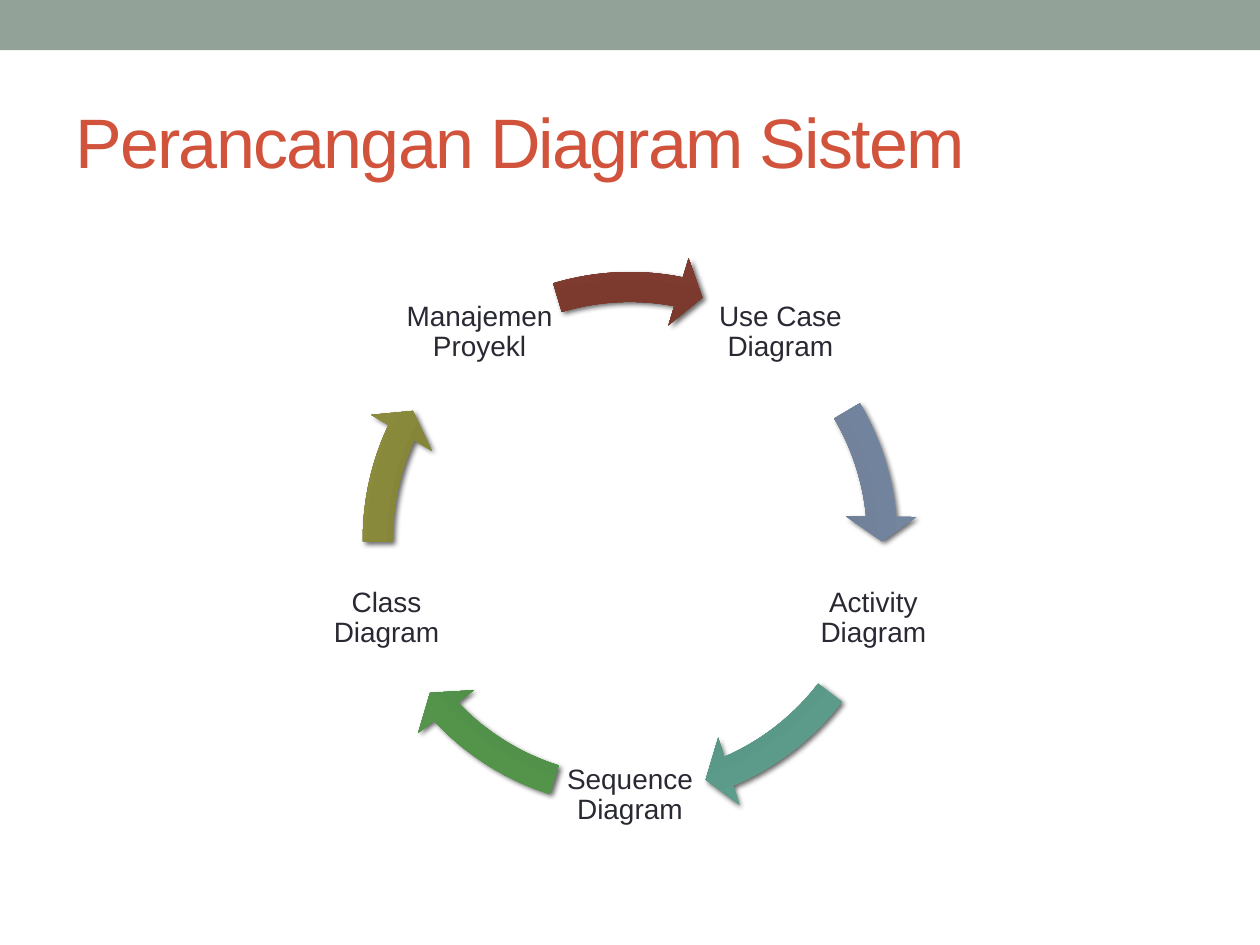
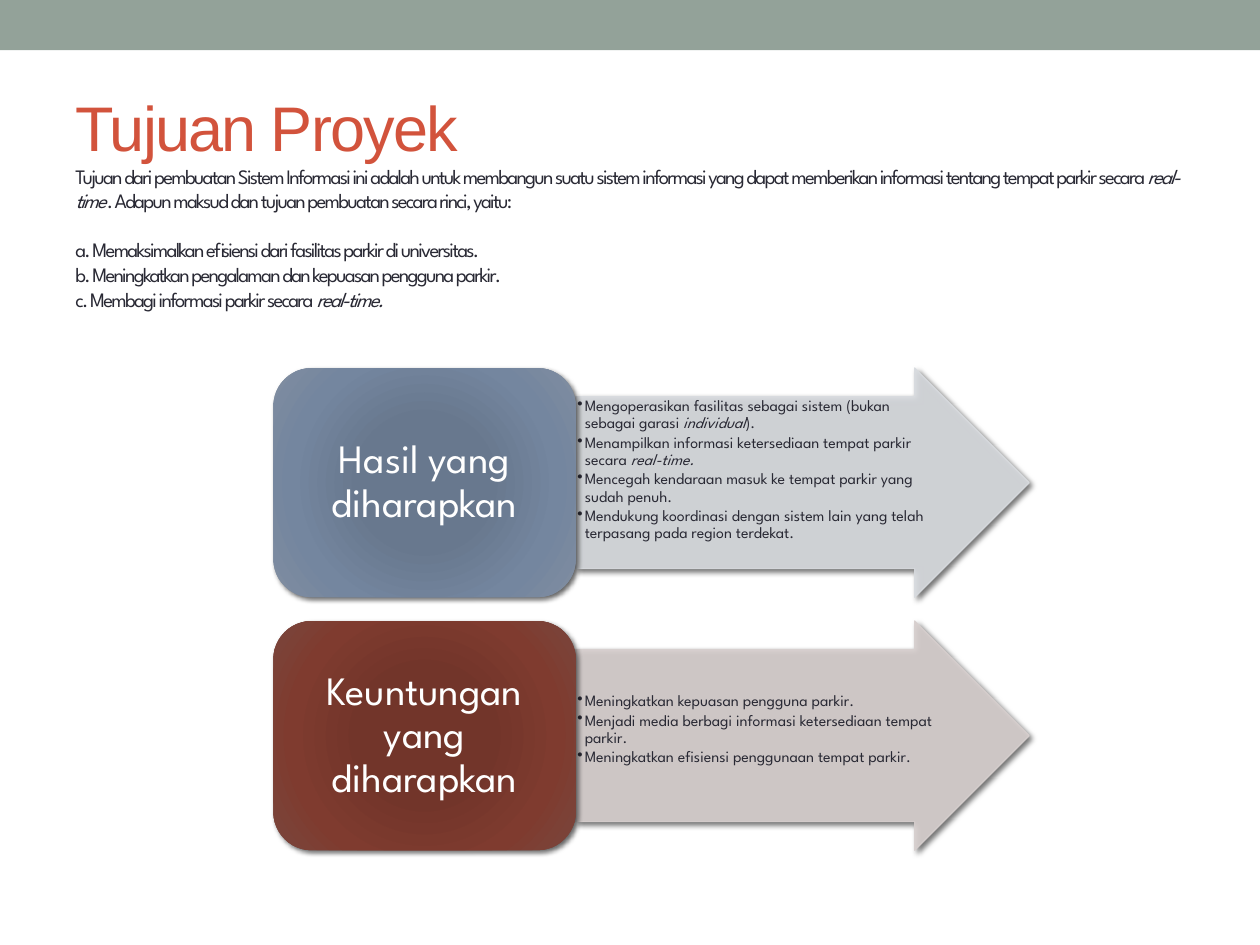
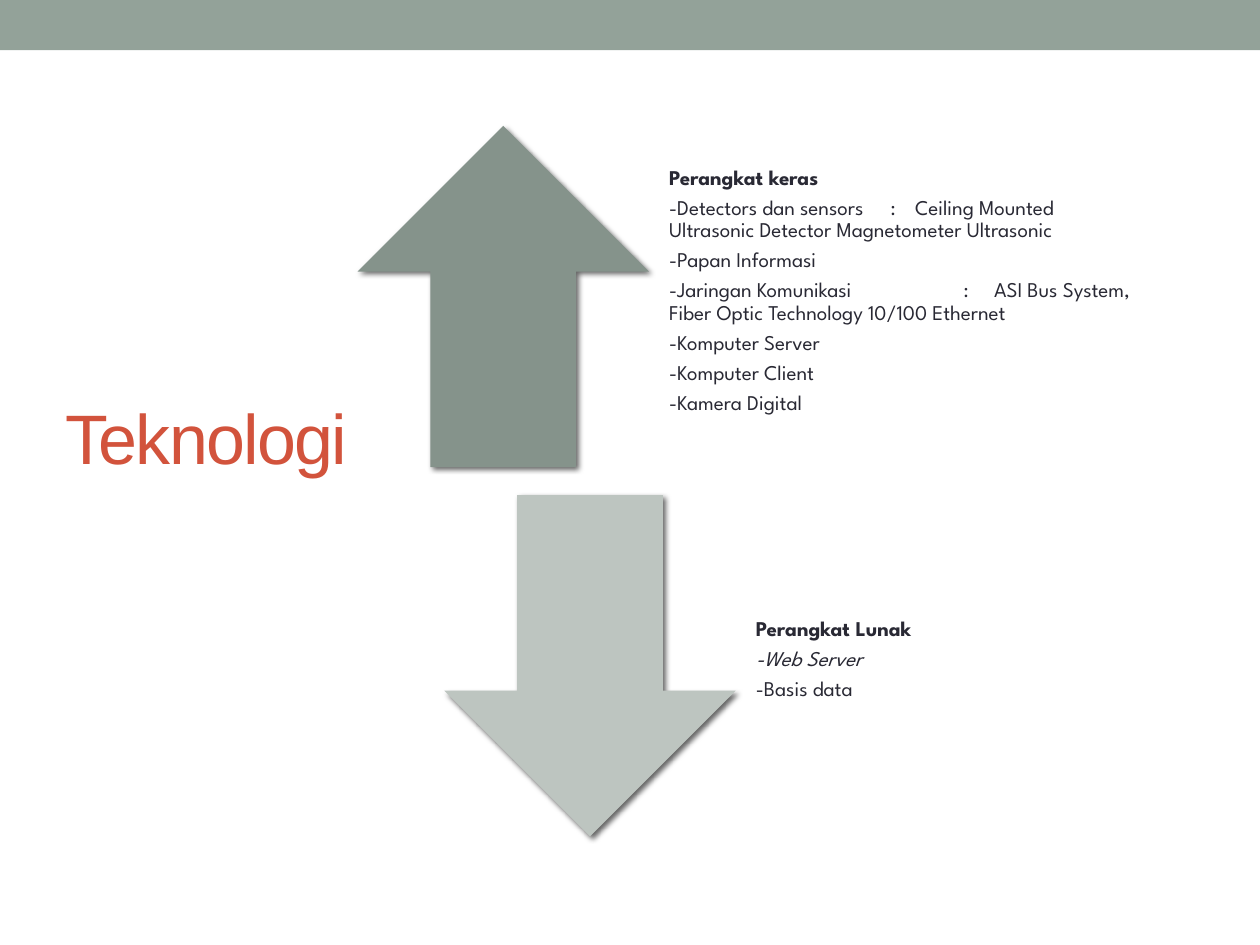
import math
from collections import namedtuple

from pptx import Presentation, util as u
from pptx.dml.color import RGBColor
from pptx.enum import shapes, text
from pptx.oxml import parse_xml
from pptx.oxml.ns import nsdecls, qn

Style = namedtuple("Style", "font size color align line after tracking",
                   defaults=(text.PP_ALIGN.LEFT, 1.0, 0, 0))

BAND, ACCENT, INK, WHITE = "93A299", "D2533C", "292934", "FFFFFF"
BODY_FONT = "League Spartan"
CENTER = text.PP_ALIGN.CENTER
TITLE = Style("Arial", 40, ACCENT, tracking=-100)
SHORT_TITLE = TITLE._replace(size=36)
INTRO = Style(BODY_FONT, 11.7, INK, tracking=-100)
CYCLE_LABEL = Style("Arial", 16, INK, CENTER, 0.9)
CARD = Style(BODY_FONT, 23, WHITE, CENTER, 0.9)
BULLET = Style(BODY_FONT, 9, INK, line=0.9, after=1.35)
LISTING = Style(BODY_FONT, 12, INK, line=0.9, after=4.2)

SLATE = ("677790", "68788E", "74869F", "808DA0")
TEAL = ("528E7E", "548C7D", "5D9D8C", "6B9A8E")
GREEN = ("4A8841", "4C8643", "55954B", "61915A")
OLIVE = ("7E7F33", "7C7D36", "8A8B3C", "85864B")
BRICK = ("743327", "72352A", "7F3B2F", "79463D")
GRADIENT_STOPS = (0, 34, 70, 100)

STEPS = [
    ("Use Case Diagram", SLATE, 329.42, 354.9),
    ("Activity Diagram", TEAL, 37.54, 66.93),
    ("Sequence Diagram", GREEN, 107.48, 136.86),
    ("Class Diagram", OLIVE, 179.5, 204.98),
    ("Manajemen Proyekl", BRICK, 253.3, 281.11),
]
GOALS = [
    "Tujuan dari pembuatan Sistem Informasi ini adalah untuk membangun suatu sistem "
    "informasi yang dapat memberikan informasi tentang tempat parkir secara *real-time*. "
    "Adapun maksud dan tujuan pembuatan secara rinci, yaitu:",
    "a. Memaksimalkan efisiensi dari fasilitas parkir di universitas.",
    "b. Meningkatkan pengalaman dan kepuasan pengguna parkir.",
    "c. Membagi informasi parkir secara *real-time.*",
]
OUTCOMES = [
    ("Hasil yang diharapkan", SLATE, "D8DBDF", 0.03, [
        "Mengoperasikan fasilitas sebagai sistem (bukan sebagai garasi *individual*).",
        "Menampilkan informasi ketersediaan tempat parkir secara *real-time.*",
        "Mencegah kendaraan masuk ke tempat parkir yang sudah penuh.",
        "Mendukung koordinasi dengan sistem lain yang telah terpasang pada region terdekat.",
    ]),
    ("Keuntungan yang diharapkan", BRICK, "D7CFCE", 0.87, [
        "Meningkatkan kepuasan pengguna parkir.",
        "Menjadi media berbagi informasi ketersediaan tempat parkir.",
        "Meningkatkan efisiensi penggunaan tempat parkir.",
    ]),
]
TECHNOLOGIES = [
    (shapes.MSO_SHAPE.UP_ARROW, "85938B", [
        "Perangkat keras",
        "-Detectors dan sensors\t:\tCeiling Mounted Ultrasonic Detector Magnetometer Ultrasonic",
        "-Papan Informasi",
        "-Jaringan Komunikasi\t:\tASI Bus System, Fiber Optic Technology 10/100 Ethernet",
        "-Komputer Server",
        "-Komputer Client",
        "-Kamera Digital",
    ], {1: (4.46, 4.96), 3: (5.93, 6.55)}),
    (shapes.MSO_SHAPE.DOWN_ARROW, "BDC5C0", [
        "Perangkat Lunak", "*-Web Server*", "-Basis data",
    ], {}),
]


def rgb(value):
    return RGBColor.from_string(value)


def box(*lengths):
    return [u.Cm(length) for length in lengths]


def xml(markup):
    tag, rest = markup.split(" ", 1)
    return parse_xml(f"{tag} {nsdecls('a')} {rest}")


def add_figure(slide, kind, bounds, color, adjustments=()):
    shape = slide.shapes.add_shape(kind, *box(*bounds))
    for index, value in enumerate(adjustments):
        shape.adjustments[index] = value
    if isinstance(color, str):
        shape.fill.solid()
        shape.fill.fore_color.rgb = rgb(color)
    else:
        fill_radial(shape, color)
    shape.line.fill.background()
    shape.shadow.inherit = False
    return shape


def fill_radial(shape, colors):
    stops = "".join(
        f'<a:gs pos="{position * 1000}"><a:srgbClr val="{color}"/></a:gs>'
        for position, color in zip(GRADIENT_STOPS, colors))
    gradient = xml(
        f'<a:gradFill rotWithShape="1"><a:gsLst>{stops}</a:gsLst><a:path path="circle">'
        '<a:fillToRect l="100000" t="100000" r="100000" b="100000"/></a:path></a:gradFill>')
    shape.element.spPr.find(qn("a:prstGeom")).addnext(gradient)


def cast_shadow(shape):
    shape.element.spPr.find(qn("a:effectLst")).append(xml(
        '<a:outerShdw blurRad="38100" dist="25400" dir="2700000" rotWithShape="0">'
        '<a:srgbClr val="000000"><a:alpha val="60000"/></a:srgbClr></a:outerShdw>'))


def make_translucent(shape, color):
    shape.line.color.rgb = rgb(color)
    shape.line.width = u.Pt(0.75)
    for swatch in shape.element.spPr.iter(qn("a:srgbClr")):
        if swatch.get("val") == color:
            swatch.append(xml('<a:alpha val="90000"/>'))


def write(frame, lines, style):
    paragraphs = []
    for line in lines:
        first = frame.paragraphs[0]
        paragraph = frame.add_paragraph() if first.runs else first
        paragraph.alignment = style.align
        paragraph.line_spacing = style.line
        paragraph.space_after = u.Pt(style.after)
        paragraph.font.name = style.font
        paragraph.font.size = u.Pt(style.size)
        paragraph.font.color.rgb = rgb(style.color)
        for index, piece in enumerate(line.split("*")):
            if piece:
                run = paragraph.add_run()
                run.text = piece
                if index % 2:
                    run.font.italic = True
                if style.tracking:
                    run._r.get_or_add_rPr().set("spc", str(style.tracking))
        paragraphs.append(paragraph)
    return paragraphs


def add_text(slide, bounds, lines, style, anchor=text.MSO_ANCHOR.MIDDLE,
             margins=(0.25, 0.13, 0.25, 0.13)):
    frame = slide.shapes.add_textbox(*box(*bounds)).text_frame
    frame.word_wrap = True
    frame.vertical_anchor = anchor
    (frame.margin_left, frame.margin_top,
     frame.margin_right, frame.margin_bottom) = box(*margins)
    return frame, write(frame, lines, style)


def add_property(paragraph, markup):
    paragraph._p.pPr.find(qn("a:defRPr")).addprevious(xml(markup))


def add_bullet(paragraph):
    indent = u.Cm(0.15)
    paragraph._p.pPr.set("marL", str(indent))
    paragraph._p.pPr.set("indent", str(-indent))
    add_property(paragraph, '<a:buChar char="•"/>')


def add_tab_stops(paragraph, positions):
    stops = "".join(f'<a:tab pos="{u.Cm(position)}" algn="l"/>' for position in positions)
    add_property(paragraph, f'<a:tabLst {""}>{stops}</a:tabLst>')


def add_banded_slide(presentation):
    slide = presentation.slides.add_slide(presentation.slide_layouts[6])
    add_figure(slide, shapes.MSO_SHAPE.RECTANGLE, (0, 0, 25.4, 1.01), BAND)
    return slide


def build_cycle(slide):
    add_text(slide, (1.27, 1.47, 22.86, 2.74), ["Perancangan Diagram Sistem"], TITLE)
    center_x, center_y, radius, ring, label = 12.7, 10.87, 5.16, 11.58, 3.1
    for index, (name, colors, start, end) in enumerate(STEPS):
        angle = math.radians(72 * index - 54)
        left = center_x + radius * math.cos(angle) - label / 2
        top = center_y + radius * math.sin(angle) - label / 2
        add_text(slide, (left, top, label, label), [name], CYCLE_LABEL, margins=[0.05] * 4)
        arrow = add_figure(
            slide, shapes.MSO_SHAPE.CIRCULAR_ARROW,
            (center_x - ring / 2, center_y - ring / 2, ring, ring), colors,
            (0.052, 3.357, end * 0.6, start * 0.6, 0.061))
        cast_shadow(arrow)


def build_outcomes(slide):
    frame, _ = add_text(slide, (1.27, 1.7, 22.86, 4.65), ["Tujuan Proyek"], SHORT_TITLE)
    goals = write(frame, GOALS, INTRO)
    goals[1].space_before = u.Pt(14)
    for index, (heading, colors, tint, top_margin, points) in enumerate(OUTCOMES):
        top = 7.42 + 5.1 * index
        arrow = add_figure(slide, shapes.MSO_SHAPE.RIGHT_ARROW, (11.61, top, 9.14, 4.62),
                           tint, (0.75, 0.5))
        make_translucent(arrow, tint)
        cast_shadow(arrow)
        _, paragraphs = add_text(slide, (11.61, top + 0.58, 7.42, 3.48), points, BULLET,
                                 text.MSO_ANCHOR.TOP, (0.03, top_margin, 0.03, 0.03))
        for paragraph in paragraphs:
            add_bullet(paragraph)
        card = add_figure(slide, shapes.MSO_SHAPE.ROUNDED_RECTANGLE,
                          (5.51, top, 6.1, 4.62), colors)
        cast_shadow(card)
        card.text_frame.word_wrap = True
        card.text_frame.vertical_anchor = text.MSO_ANCHOR.MIDDLE
        write(card.text_frame, [heading], CARD)


def build_technologies(slide):
    add_text(slide, (1.07, 7.42, 9.32, 2.74), ["Teknologi"], TITLE)
    for index, (kind, color, lines, tab_stops) in enumerate(TECHNOLOGIES):
        left, top = 7.21 + 1.75 * index, 2.54 + 7.44 * index
        cast_shadow(add_figure(slide, kind, (left, top, 5.87, 6.88), color))
        _, paragraphs = add_text(slide, (left + 6.05, top, 9.96, 6.88), lines, LISTING,
                                 margins=(0.23, 0, 0.23, 0.23))
        paragraphs[0].font.bold = True
        for row, positions in tab_stops.items():
            add_tab_stops(paragraphs[row], positions)


def main():
    presentation = Presentation()
    presentation.slide_width, presentation.slide_height = box(25.4, 19.05)
    for build in (build_cycle, build_outcomes, build_technologies):
        build(add_banded_slide(presentation))
    presentation.save("out.pptx")


if __name__ == "__main__":
    main()
